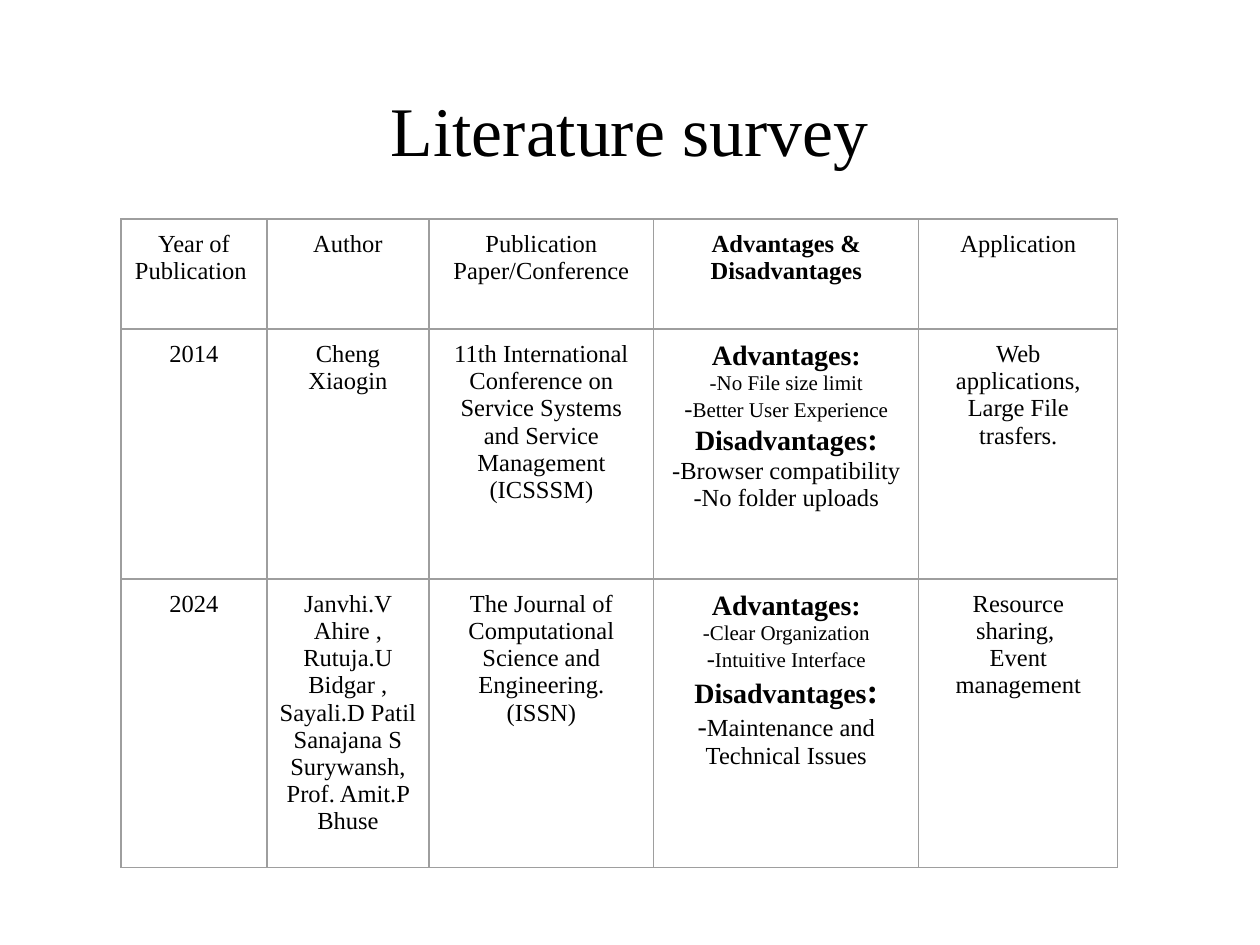
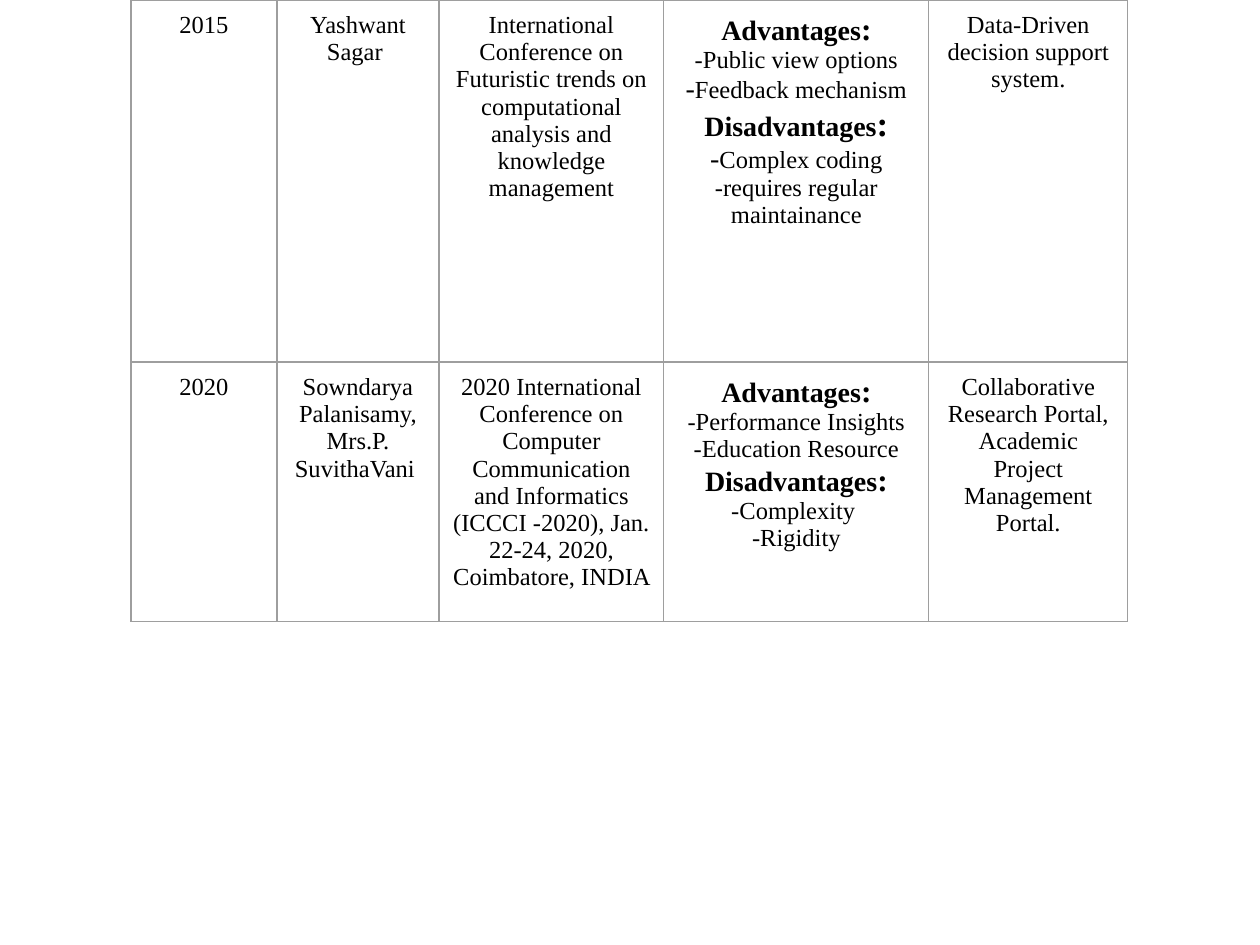
from pptx import Presentation, util as u
from pptx.dml.color import RGBColor
from pptx.enum import text
from pptx.oxml import parse_xml
from pptx.oxml.ns import nsdecls

PX = 914400 // 126
FONT = "Times New Roman"
INK = "000000"
RULE = "9E9E9E"
BODY = 14
COLS = [146, 162, 225, 265, 199]
PAD = 12


def pros(size, first, second, dash=BODY, colon=16):
    return [[("Advantages", 16), (":", colon)], [(first, size)],
            [("-", dash), (second, size)]]


def cons(colon, *lines):
    return [[("Disadvantages", 16), (":", colon)], *lines]


def plain(line):
    return [(line, BODY)]


SURVEY = [
    (110, ["Year of Publication ", "Author", "Publication Paper/Conference",
           "Advantages & Disadvantages", "Application"]),
    (250, ["2014", "Cheng Xiaogin",
           "11th International Conference on Service Systems and Service "
           "Management (ICSSSM)",
           pros(12, "-No File size limit", "Better User Experience")
           + cons(18, plain("-Browser compatibility"),
                  plain("-No folder uploads")),
           "Web applications,\nLarge File trasfers."]),
    (269, ["2024",
           "Janvhi.V Ahire , Rutuja.U Bidgar , Sayali.D Patil "
           "Sanajana S Surywansh, Prof. Amit.P Bhuse",
           "The Journal of Computational Science and Engineering. (ISSN)",
           pros(12, "-Clear Organization", "Intuitive Interface")
           + cons(20, [("-", 16),
                       ("Maintenance and Technical Issues", BODY)]),
           "Resource sharing, \nEvent management"]),
]
MORE = [
    (362, ["2015", "Yashwant Sagar ",
           "International Conference on Futuristic trends on computational "
           "analysis and knowledge management",
           pros(14, "-Public view options", "Feedback mechanism", 16, 18)
           + cons(20, [("-", 16), ("Complex coding", BODY)],
                  plain("-requires regular maintainance")),
           "Data-Driven decision support system."]),
    (242, ["2020", "Sowndarya Palanisamy, Mrs.P. SuvithaVani ",
           "2020 International Conference on Computer Communication and "
           "Informatics (ICCCI -2020), Jan. 22-24, 2020, Coimbatore, INDIA ",
           pros(14, "-Performance Insights", "Education Resource", 14, 18)
           + cons(18, plain("-Complexity "), plain("-Rigidity")),
           "Collaborative Research Portal, Academic Project Management "
           "Portal."]),
]
SLIDES = [("Literature survey", 121, 219, SURVEY), (None, 131, 0, MORE)]


def color(code):
    return RGBColor.from_string(code)


def style(run, size, bold=False):
    run.font.name = FONT
    run.font.size = u.Pt(size)
    run.font.bold = bold
    run.font.color.rgb = color(INK)


def write(frame, lines):
    frame.text = "\n" * (len(lines) - 1)
    for para, line in zip(frame.paragraphs, lines):
        para.alignment = text.PP_ALIGN.CENTER
        bold = line[0][0].endswith("dvantages")
        for words, size in line:
            run = para.add_run()
            run.text = words
            style(run, size, bold)


def border(cell):
    props = cell._tc.get_or_add_tcPr()
    for place, side in enumerate(("lnL", "lnR", "lnT", "lnB")):
        props.insert(place, parse_xml(
            f'<a:{side} {nsdecls("a")} w="9525"><a:solidFill>'
            f'<a:srgbClr val="{RULE}"/></a:solidFill></a:{side}>'))


def add_title(slide, words):
    box = slide.shapes.add_textbox(63 * PX, 87 * PX, 1134 * PX, 157 * PX)
    frame = box.text_frame
    frame.word_wrap = True
    frame.margin_top = 0
    write(frame, [[(words, 39.8)]])


def add_grid(slide, left, top, rows):
    high = sum(row[0] for row in rows)
    grid = slide.shapes.add_table(len(rows), len(COLS), left * PX, top * PX,
                                  sum(COLS) * PX, high * PX).table
    grid.first_row = grid.horz_banding = False
    for col, wide in zip(grid.columns, COLS):
        col.width = wide * PX
    for row, (tall, items) in zip(grid.rows, rows):
        row.height = tall * PX
        for cell, item in zip(row.cells, items):
            cell.margin_top = cell.margin_bottom = PAD * PX
            cell.fill.background()
            border(cell)
            if isinstance(item, str):
                item = [plain(line) for line in item.split("\n")]
            write(cell.text_frame, item)


def main():
    deck = Presentation()
    deck.slide_width, deck.slide_height = 1260 * PX, 945 * PX
    for title, left, top, rows in SLIDES:
        slide = deck.slides.add_slide(deck.slide_layouts[6])
        if title:
            add_title(slide, title)
        add_grid(slide, left, top, rows)
    deck.save("out.pptx")


if __name__ == "__main__":
    main()
